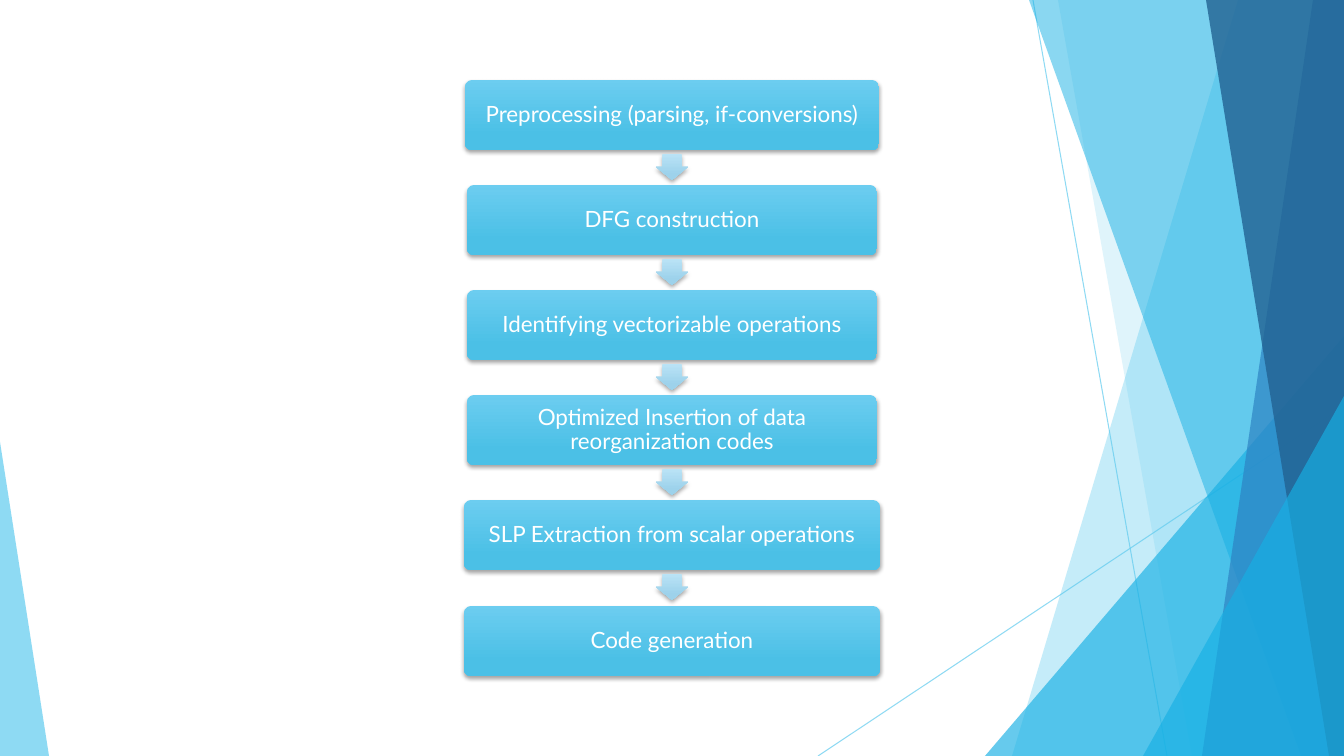
from lxml.etree import SubElement as Sub
from pptx import Presentation
from pptx.dml.color import RGBColor as RGB
from pptx.enum.shapes import MSO_CONNECTOR as LINK, MSO_SHAPE as KIND
from pptx.enum.text import MSO_ANCHOR as ANCHOR, PP_ALIGN as ALIGN
from pptx.oxml.ns import qn
from pptx.oxml.xmlchemy import OxmlElement as Node
from pptx.util import Pt

PX = 9071
WIDE, HIGH = 1344, 756
HUES = {
    "sky": "5FCBEF", "aqua": "17B0E4", "blue": "2E83C3", "navy": "226292",
    "white": "FFFFFF", "black": "000000",
    "box top": "6CCDF0", "box end": "4BC0E6",
    "tip top": "BAE3F6", "tip end": "9DD2EB",
}


def paint(shape, fill, hue, alpha):
    fill.solid()
    fill.fore_color.rgb = RGB.from_string(HUES[hue])
    tone = next(shape.element.iter(qn("a:srgbClr")))
    Sub(tone, qn("a:alpha"), val=str(alpha * 1000))


def write(shape, text, size=16, font="Lato", hue="white", pad=9):
    frame = shape.text_frame
    frame.word_wrap = True
    frame.vertical_anchor = ANCHOR.MIDDLE
    frame.margin_left = frame.margin_right = pad * PX
    frame.margin_top = frame.margin_bottom = pad * PX
    para = frame.paragraphs[0]
    para.alignment = ALIGN.CENTER
    para.line_spacing = 0.9
    para.space_after = Pt(size * 0.35)
    run = para.add_run()
    run.text = text
    run.font.size = Pt(size)
    run.font.name = font
    run.font.color.rgb = RGB.from_string(HUES[hue])


deck = Presentation()
deck.slide_width, deck.slide_height = WIDE * PX, HIGH * PX
slide = deck.slides.add_slide(deck.slide_layouts[6])
shapes = slide.shapes

for ends in [(1033, 0, 1167, HIGH), (WIDE, 406, 818, HIGH)]:
    line = shapes.add_connector(LINK.STRAIGHT, *[end * PX for end in ends])
    line.line.width = Pt(0.75)
    paint(line, line.line.fill, "sky", 70)
    line.element.spPr.append(Node("a:effectLst"))

facets = [
    ("band", 1238, 1012, "sky", 36),
    ("band", 1058, 1192, "sky", 20),
    ("right", 985, 336, "aqua", 66),
    ("band", 1029, 1301, "aqua", 50),
    ("band", 1313, 1202, "blue", 70),
    ("band", 1206, 1329, "navy", 80),
    ("right", 1143, 396, "aqua", 66),
    ("left", 49, 442, "sky", 70),
]
for kind, a, b, hue, alpha in facets:
    if kind == "band":
        path = shapes.build_freeform(a, 0, scale=PX)
        path.add_line_segments([(WIDE, 0), (WIDE, HIGH), (b, HIGH)])
        facet = path.convert_to_shape()
    else:
        left, width = (a, WIDE - a) if kind == "right" else (0, a)
        facet = shapes.add_shape(KIND.ISOSCELES_TRIANGLE, left * PX, b * PX,
                                 width * PX, (HIGH - b) * PX)
        facet.adjustments[0] = 1 if kind == "right" else 0
    paint(facet, facet.fill, hue, alpha)
    facet.line.fill.background()
    facet.shadow.inherit = False

steps = [
    ("Preprocessing (parsing, if-conversions)", 414),
    ("DFG construction", 410),
    ("Identifying vectorizable operations", 410),
    ("Optimized Insertion of data reorganization codes", 410),
    ("SLP Extraction from scalar operations", 416),
    ("Code generation", 416),
]
parts = []
for i, (text, width) in enumerate(steps):
    top = 80 + i * 526 // 5
    box = shapes.add_shape(KIND.ROUNDED_RECTANGLE, (WIDE - width) // 2 * PX,
                           top * PX, width * PX, 70 * PX)
    box.adjustments[0] = 0.1
    write(box, text)
    parts.append((box, "box"))
    if i < len(steps) - 1:
        tip = shapes.add_shape(KIND.DOWN_ARROW, 656 * PX, (top + 74) * PX,
                               32 * PX, 26 * PX)
        tip.adjustments[0], tip.adjustments[1] = 0.6, 0.5
        parts.append((tip, "tip"))

for part, name in parts:
    part.fill.gradient()
    part.fill.gradient_angle = 270
    for stop, edge, spot in zip(part.fill.gradient_stops, ("top", "end"), (0, 0.78)):
        stop.color.rgb = RGB.from_string(HUES[f"{name} {edge}"])
        stop.position = spot
    part.line.fill.background()
    part.shadow.inherit = False
    glow = part.element.spPr.find(qn("a:effectLst"))
    shade = Sub(glow, qn("a:outerShdw"), blurRad=str(Pt(3)), dist=str(Pt(2)),
                dir="5400000", rotWithShape="0")
    tone = Sub(shade, qn("a:srgbClr"), val=HUES["black"])
    Sub(tone, qn("a:alpha"), val="35000")

deck.save("out.pptx")
